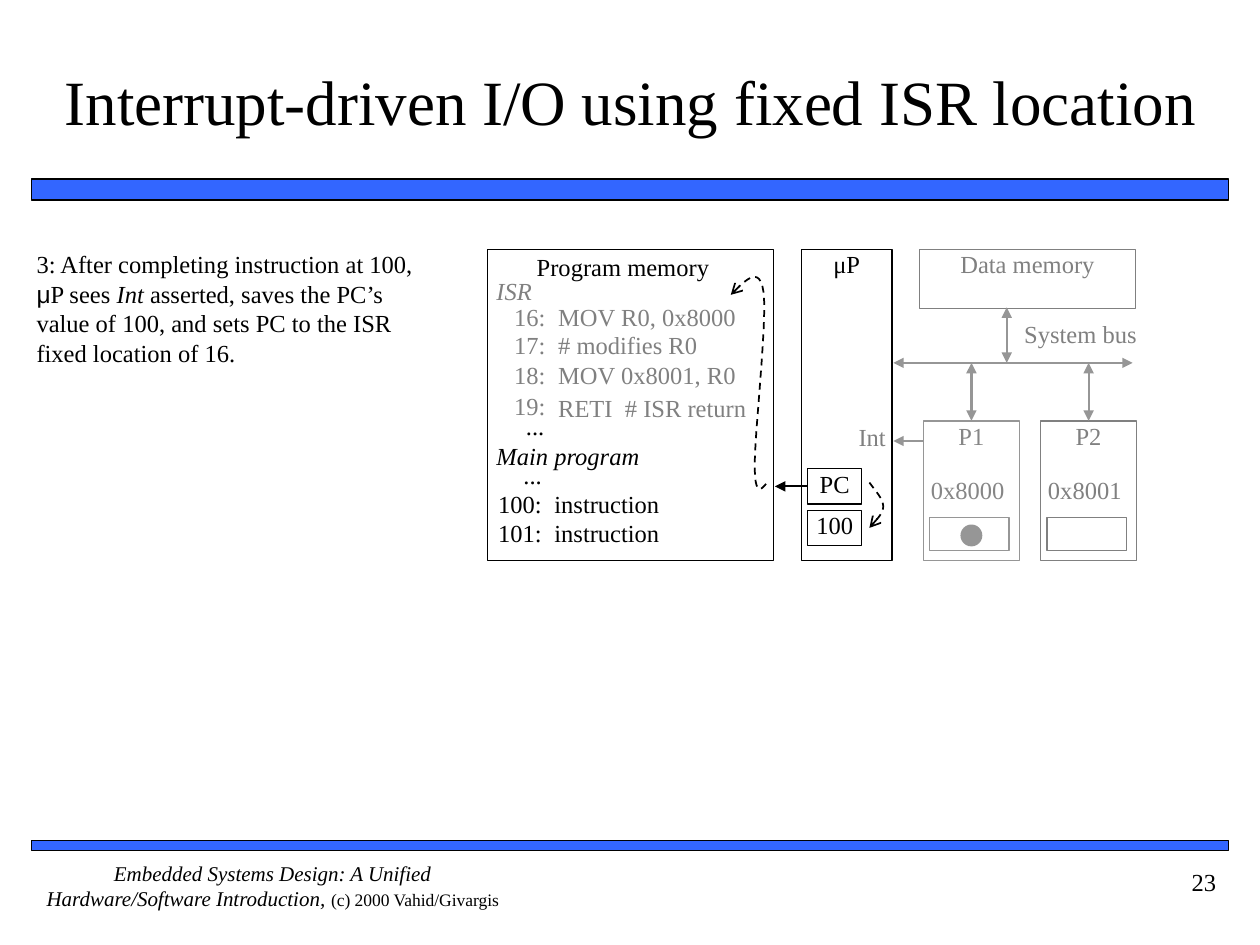
from lxml import etree
from pptx import Presentation
from pptx.dml.color import RGBColor
from pptx.enum.dml import MSO_LINE
from pptx.enum.shapes import MSO_CONNECTOR, MSO_SHAPE
from pptx.enum.text import MSO_ANCHOR, PP_ALIGN
from pptx.oxml.ns import qn
from pptx.util import Inches, Pt

LEFT, CENTER, RIGHT = PP_ALIGN.LEFT, PP_ALIGN.CENTER, PP_ALIGN.RIGHT
TOP, MIDDLE = MSO_ANCHOR.TOP, MSO_ANCHOR.MIDDLE
RECT, OVAL = MSO_SHAPE.RECTANGLE, MSO_SHAPE.OVAL
STRAIGHT, DASH = MSO_CONNECTOR.STRAIGHT, MSO_LINE.DASH
TOP_SITE, LEFT_SITE = 0, 1

BLACK = RGBColor(0x00, 0x00, 0x00)
WHITE = RGBColor(0xFF, 0xFF, 0xFF)
BLUE = RGBColor(0x33, 0x66, 0xFF)
GRAY = RGBColor(0x80, 0x80, 0x80)
TEXT_GRAY = RGBColor(0x86, 0x86, 0x86)
LIGHT_GRAY = RGBColor(0x96, 0x96, 0x96)
FONT = "Times New Roman"

TITLE = "Interrupt-driven I/O using fixed ISR location"
STEP = [
    ("3: After completing instruction at 100, ", {}),
    ("μ", {"font": "Arial"}),
    ("P sees ", {}),
    ("Int", {"italic": True}),
    (" asserted, saves the PC’s value of 100, and sets PC to the ISR "
     "fixed location of 16.", {}),
]
FOOTER = [
    ("Embedded Systems Design: A Unified Hardware/Software Introduction, ",
     {"size": 12, "italic": True}),
    ("(c) 2000 Vahid/Givargis", {"size": 10}),
]
PAGE = "23"

BARS = [(0.25, 1.42, 9.5, 0.17), (0.25, 6.67, 9.5, 0.08)]

# label right edge, label top, label, code left, code top, code, colour
PROGRAM = [
    (4.33, 2.4, "16:", 4.43, 2.4, "MOV R0, 0x8000", GRAY),
    (4.33, 2.62, "17:", 4.43, 2.62, "# modifies R0", GRAY),
    (4.33, 2.86, "18:", 4.43, 2.86, "MOV 0x8001, R0", GRAY),
    (4.33, 3.1, "19:", 4.43, 3.12, "RETI  # ISR return", GRAY),
    (4.3, 3.88, "100:", 4.4, 3.88, "instruction", BLACK),
    (4.3, 4.11, "101:", 4.4, 4.11, "instruction", BLACK),
]

# text, box, format
LABELS = [
    ("ISR", (3.94, 2.19, 0.49, 0.34), {"color": GRAY, "italic": True}),
    ("Main program", (3.94, 3.5, 1.33, 0.33), {"italic": True}),
    ("...", (4.03, 3.26, 0.29, 0.25), {"align": RIGHT}),
    ("...", (4.01, 3.65, 0.29, 0.25), {"align": RIGHT}),
    ("Program memory", (4.26, 2, 1.56, 0.32), {}),
    ("System bus", (8.07, 2.53, 1.01, 0.39), {"color": GRAY, "align": CENTER}),
    ("Int", (6.71, 3.35, 0.32, 0.32), {"color": GRAY, "align": RIGHT}),
]

# name, address, left, line colour, text colour
PERIPHERALS = [
    ("P1", "0x8000", 7.33, LIGHT_GRAY, TEXT_GRAY),
    ("P2", "0x8001", 8.26, GRAY, GRAY),
]
PERIPHERAL_TOP, BUS_Y = 3.34, 2.88

# Each curve: start point, then cubic segments of two controls and an end
SAVE_PC_CURVE = ((6.9, 3.83), [
    ((6.95, 3.9), (7.01, 3.96), (7.01, 4.02)),
    ((7.01, 4.08), (6.95, 4.13), (6.9, 4.19)),
])
JUMP_TO_ISR_CURVE = ((6.08, 3.84), [
    ((6.04, 3.89), (5.99, 3.94), (5.99, 3.69)),
    ((5.99, 3.43), (6.09, 2.55), (6.06, 2.32)),
    ((6.03, 2.1), (5.92, 2.22), (5.8, 2.34)),
])
CURVE_STEPS = 12


def write(shape, text, size=14, color=BLACK, font=FONT, italic=False,
          align=LEFT, anchor=TOP, margins=(0, 0)):
    """Fill a shape with one paragraph; text is a string or (text, format) runs."""
    frame = shape.text_frame
    frame.word_wrap = True
    frame.vertical_anchor = anchor
    frame.margin_left = frame.margin_right = Inches(margins[0])
    frame.margin_top = frame.margin_bottom = Inches(margins[1])
    paragraph = frame.paragraphs[0]
    paragraph.alignment = align
    for words, extra in [(text, {})] if isinstance(text, str) else text:
        run = paragraph.add_run()
        run.text = words
        run.font.size = Pt(extra.get("size", size))
        run.font.name = extra.get("font", font)
        run.font.italic = extra.get("italic", italic)
        run.font.color.rgb = color


def add_label(slide, text, box, **style):
    write(slide.shapes.add_textbox(*map(Inches, box)), text, **style)


def add_box(slide, box, text="", kind=RECT, fill=WHITE, line=BLACK,
            width=0.75, color=BLACK):
    shape = slide.shapes.add_shape(kind, *map(Inches, box))
    shape.shadow.inherit = False
    shape.fill.solid()
    shape.fill.fore_color.rgb = fill
    shape.line.color.rgb = line
    shape.line.width = Pt(width)
    if text:
        write(shape, text, color=color, align=CENTER)
    return shape


def add_arrowheads(shape, **ends):
    ln = shape._element.spPr.find(qn("a:ln"))
    for end in ("headEnd", "tailEnd"):
        if end in ends:
            etree.SubElement(ln, qn(f"a:{end}"), type=ends[end])


def add_arrow(slide, start, end, color=LIGHT_GRAY, width=1.25, both=True):
    arrow = slide.shapes.add_connector(STRAIGHT, *map(Inches, start + end))
    arrow.line.color.rgb = color
    arrow.line.width = Pt(width)
    heads = {"headEnd": "triangle"} if both else {}
    add_arrowheads(arrow, tailEnd="triangle", **heads)
    etree.SubElement(arrow._element.spPr, qn("a:effectLst"))
    return arrow


def add_dashed_curve(slide, start, segments):
    points, origin = [], start
    for first, second, end in segments:
        for step in range(1, CURVE_STEPS + 1):
            t = step / CURVE_STEPS
            weights = ((1 - t) ** 3, 3 * t * (1 - t) ** 2,
                       3 * t ** 2 * (1 - t), t ** 3)
            corners = (origin, first, second, end)
            points.append(tuple(
                Inches(sum(w * corner[axis] for w, corner in zip(weights, corners)))
                for axis in (0, 1)))
        origin = end
    builder = slide.shapes.build_freeform(*map(Inches, start))
    builder.add_line_segments(points, close=False)
    curve = builder.convert_to_shape()
    curve.shadow.inherit = False
    curve.fill.background()
    curve.line.color.rgb = BLACK
    curve.line.width = Pt(1)
    curve.line.dash_style = DASH
    add_arrowheads(curve, tailEnd="arrow")


def add_peripheral(slide, name, address, left, line, color):
    body = add_box(slide, (left, PERIPHERAL_TOP, 0.76, 1.11), name,
                   line=line, color=color)
    add_box(slide, (left + 0.05, 4.11, 0.63, 0.26), line=line)
    add_label(slide, address, (left + 0.03, 3.77, 0.64, 0.28),
              color=color, align=CENTER)
    middle = left + 0.38
    link = add_arrow(slide, (middle, BUS_Y), (middle, PERIPHERAL_TOP))
    link.end_connect(body, TOP_SITE)


def main():
    prs = Presentation()
    prs.slide_width, prs.slide_height = Inches(10), Inches(7.5)
    slide = prs.slides.add_slide(prs.slide_layouts[5])

    title = slide.shapes.title
    title.left, title.top = Inches(0.42), Inches(0.17)
    title.width, title.height = Inches(9.17), Inches(1.25)
    write(title, TITLE, size=36, align=CENTER, anchor=MIDDLE, margins=(0, 0.05))
    for bar in BARS:
        add_box(slide, bar, fill=BLUE, width=1)
    add_label(slide, FOOTER, (0.25, 6.83, 3.83, 0.5), align=CENTER)
    add_label(slide, PAGE, (8.75, 6.83, 1, 0.5), align=RIGHT, margins=(0.1, 0.05))
    add_label(slide, STEP, (0.29, 1.98, 3.14, 1.15))

    add_box(slide, (6.36, 1.98, 0.72, 2.47), "μP")
    add_box(slide, (7.3, 1.98, 1.71, 0.47), "Data memory", line=GRAY, color=GRAY)
    add_arrow(slide, (7.09, BUS_Y), (8.99, BUS_Y))
    add_arrow(slide, (7.99, 2.44), (7.99, BUS_Y))
    for peripheral in PERIPHERALS:
        add_peripheral(slide, *peripheral)
    add_box(slide, (7.63, 4.17, 0.16, 0.16), kind=OVAL, fill=LIGHT_GRAY,
            line=LIGHT_GRAY, width=1)
    add_arrow(slide, (7.33, 3.5), (7.09, 3.5), width=0.75, both=False)

    add_box(slide, (3.87, 1.98, 2.27, 2.47))
    for right, top, label, left, code_top, code, color in PROGRAM:
        add_label(slide, label, (right - 0.4, top, 0.4, 0.24),
                  color=color, align=RIGHT)
        add_label(slide, code, (left, code_top, 1.75, 0.25), color=color)
    for text, box, style in LABELS:
        add_label(slide, text, box, **style)

    counter = add_box(slide, (6.41, 3.72, 0.43, 0.28), "PC")
    add_box(slide, (6.41, 4.05, 0.43, 0.28), "100")
    fetch = add_arrow(slide, (6.41, 3.86), (6.15, 3.86), color=BLACK, both=False)
    fetch.begin_connect(counter, LEFT_SITE)
    add_dashed_curve(slide, *SAVE_PC_CURVE)
    add_dashed_curve(slide, *JUMP_TO_ISR_CURVE)

    prs.save("out.pptx")


if __name__ == "__main__":
    main()
